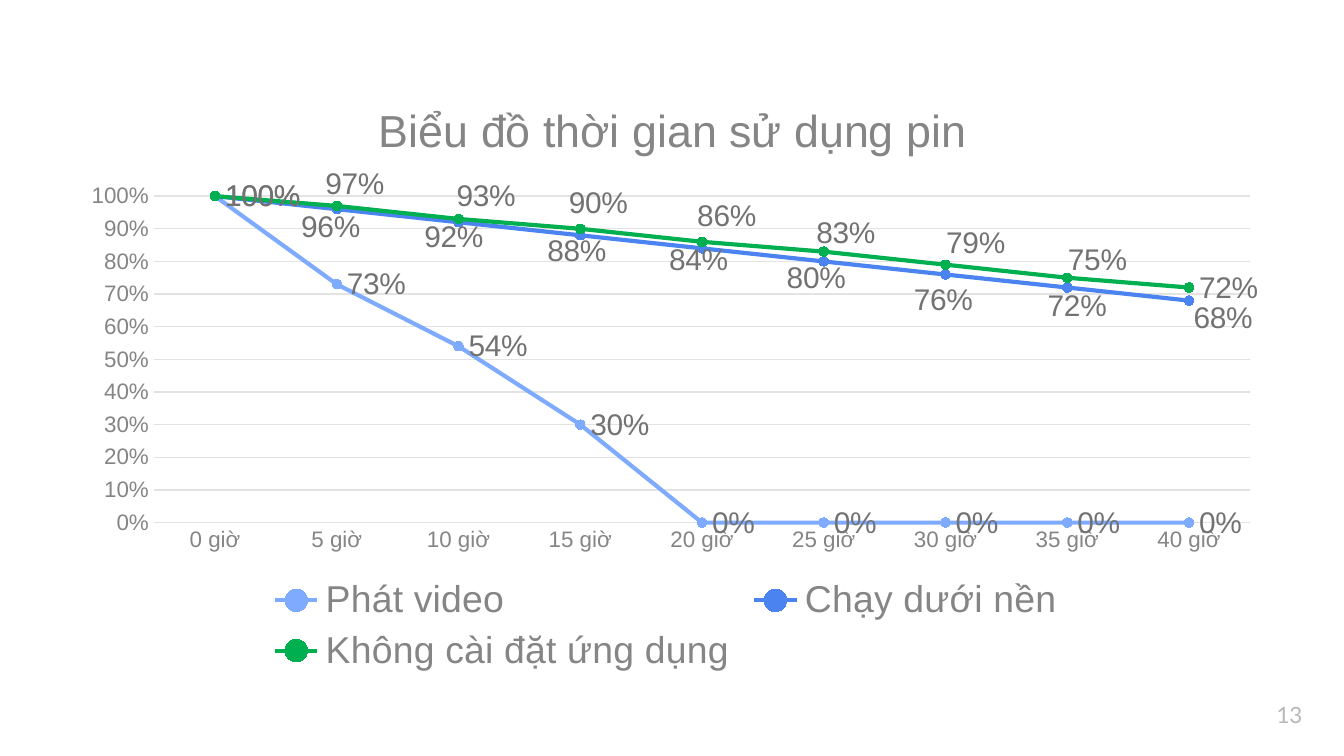
"""Build a slide with a line chart of battery life."""
import pptx
import pptx.chart.data
import pptx.dml.color
import pptx.enum.chart
import pptx.enum.text
import pptx.oxml
import pptx.oxml.ns
import pptx.util

Inches = pptx.util.Inches
Pt = pptx.util.Pt
enum = pptx.enum.chart

HUES = {"video": "7FABFF", "back": "4B84F0", "none": "00B050", "grid": "E3E3E3",
        "axis": "858585", "label": "727272", "page": "B7B7B7", "base": "434343"}
WIDE, HIGH = 8.96, 4.5
HOURS = [f"{hour} giờ" for hour in range(0, 45, 5)]
SERIES = [
    ("Phát video", "video", [1, 0.73, 0.54, 0.3, 0, 0, 0, 0, 0], []),
    ("Chạy dưới nền", "back", [1, 0.96, 0.92, 0.88, 0.84, 0.8, 0.76, 0.72, 0.68],
     [(-0.34, 0.13), (-0.33, 0.11), (-0.32, 0.12), (-0.32, 0.09),
      (-0.35, 0.12), (-0.31, 0.19), (-0.22, 0.14), (-0.04, 0.13)]),
    ("Không cài đặt ứng dụng", "none", [1, 0.97, 0.93, 0.9, 0.86, 0.83, 0.79, 0.75, 0.72],
     [(-0.16, -0.16), (-0.09, -0.17), (-0.16, -0.19), (-0.11, -0.19),
      (-0.13, -0.14), (-0.07, -0.16), (-0.07, -0.13)]),
]


def apply(item, values):
    """Set each attribute of an object from a dict."""
    for name, value in values.items():
        setattr(item, name, value)


def paint(part, hue):
    """Give a fill or colour holder a solid colour."""
    part.solid()
    part.fore_color.rgb = pptx.dml.color.RGBColor.from_string(HUES[hue])


def style(font, size, hue, face="Arial"):
    """Set the size, face and colour of a font."""
    apply(font, {"size": Pt(size), "name": face, "bold": False})
    paint(font.fill, hue)


def stroke(line, hue, width):
    """Draw a line in one colour and width."""
    paint(line.fill, hue)
    line.width = Pt(width)


def place(node, spot, values):
    """Put a manual layout into a chart element at a child index."""
    for old in node.findall(pptx.oxml.ns.qn("c:layout")):
        node.remove(old)
    tags = "".join(f'<c:{tag} val="{value}"/>' for tag, value in values.items())
    node.insert(spot, pptx.oxml.parse_xml(
        f'<c:layout {pptx.oxml.ns.nsdecls("c")}><c:manualLayout>{tags}'
        '</c:manualLayout></c:layout>'))


def label(series, index):
    """Give one point its own label and return the element."""
    tag = series.points[index].data_label
    style(tag.font, 16, "label")
    tag.position = enum.XL_LABEL_POSITION.RIGHT
    return series.data_labels._element.xpath(f"c:dLbl[c:idx/@val='{index}']")[0]


def shift(series, index, move):
    """Move the label of one point by inches."""
    place(label(series, index), 1,
          {"x": round(move[0] / WIDE, 4), "y": round(move[1] / HIGH, 4)})


def hide(series, index):
    """Remove the label of one point."""
    node = label(series, index)
    for child in list(node)[1:]:
        node.remove(child)
    node.append(pptx.oxml.parse_xml(
        f'<c:delete {pptx.oxml.ns.nsdecls("c")} val="1"/>'))


def trace(series, hue, moves):
    """Format one series with its markers and labels."""
    series.smooth = False
    stroke(series.format.line, hue, 2.25)
    apply(series.marker, {"style": enum.XL_MARKER_STYLE.CIRCLE, "size": 5})
    paint(series.marker.format.fill, hue)
    stroke(series.marker.format.line, hue, 0.75)
    labels = series.data_labels
    apply(labels, {"show_value": True, "number_format": "0%",
                   "number_format_is_linked": False,
                   "position": enum.XL_LABEL_POSITION.RIGHT})
    style(labels.font, 16, "label")
    for index, move in enumerate(moves, 1):
        shift(series, index, move)


def scale(axis, values):
    """Format one axis."""
    none = enum.XL_TICK_MARK.NONE
    apply(axis, {"major_tick_mark": none, "minor_tick_mark": none, **values})
    style(axis.tick_labels.font, 12, "axis")


def head(chart, text):
    """Add the chart title."""
    frame = chart.chart_title.text_frame
    frame.text = text
    style(frame.paragraphs[0].runs[0].font, 24, "axis")


def graph(slide):
    """Add the line chart."""
    data = pptx.chart.data.CategoryChartData(number_format="0%")
    data.categories = HOURS
    for name, hue, values, moves in SERIES:
        data.add_series(name, values)
    chart = slide.shapes.add_chart(
        enum.XL_CHART_TYPE.LINE_MARKERS, Inches(0.52), Inches(0.56),
        Inches(WIDE), Inches(HIGH), data).chart
    style(chart.font, 10, "base")
    head(chart, "Biểu đồ thời gian sử dụng pin")
    plot = chart.plots[0]
    plot.vary_by_categories = False
    for series, (name, hue, values, moves) in zip(plot.series, SERIES):
        trace(series, hue, moves)
    hide(plot.series[2], 0)
    scale(chart.category_axis, {"has_major_gridlines": False})
    stroke(chart.category_axis.format.line, "grid", 0.75)
    axis = chart.value_axis
    scale(axis, {"minimum_scale": 0, "maximum_scale": 1, "major_unit": 0.1,
                 "has_major_gridlines": True})
    apply(axis.tick_labels, {"number_format": "0%", "number_format_is_linked": False})
    axis.format.line.fill.background()
    stroke(axis.major_gridlines.format.line, "grid", 0.75)
    chart.has_legend = True
    apply(chart.legend, {"position": enum.XL_LEGEND_POSITION.BOTTOM,
                         "include_in_layout": False})
    style(chart.legend.font, 20, "axis")
    edge = {"xMode": "edge", "yMode": "edge"}
    spots = {
        "title": (1, {**edge, "x": 0.25, "y": 0.03}),
        "plotArea": (0, {"layoutTarget": "inner", **edge,
                         "x": 0.07, "y": 0.2, "w": 0.91, "h": 0.54}),
        "legend": (1, {**edge, "x": 0.16, "y": 0.82, "w": 0.67, "h": 0.18}),
    }
    for tag, (spot, values) in spots.items():
        place(chart._chartSpace.xpath(f"c:chart/c:{tag}")[0], spot, values)


def number(slide, text):
    """Add the page number."""
    frame = slide.shapes.add_textbox(
        Inches(9.4), Inches(5.1), Inches(0.6), Inches(0.43)).text_frame
    gap = Inches(0.1)
    apply(frame, {"word_wrap": True, "margin_left": gap, "margin_right": gap,
                  "margin_top": gap, "margin_bottom": gap,
                  "vertical_anchor": pptx.enum.text.MSO_ANCHOR.MIDDLE})
    run = frame.paragraphs[0].add_run()
    run.text = text
    style(run.font, 12, "page", "Lato")


def main():
    """Build and save the slide."""
    deck = pptx.Presentation()
    apply(deck, {"slide_width": Inches(10), "slide_height": Inches(10 * 9 / 16)})
    slide = deck.slides.add_slide(deck.slide_layouts[6])
    number(slide, "13")
    graph(slide)
    deck.save("out.pptx")


if __name__ == "__main__":
    main()
